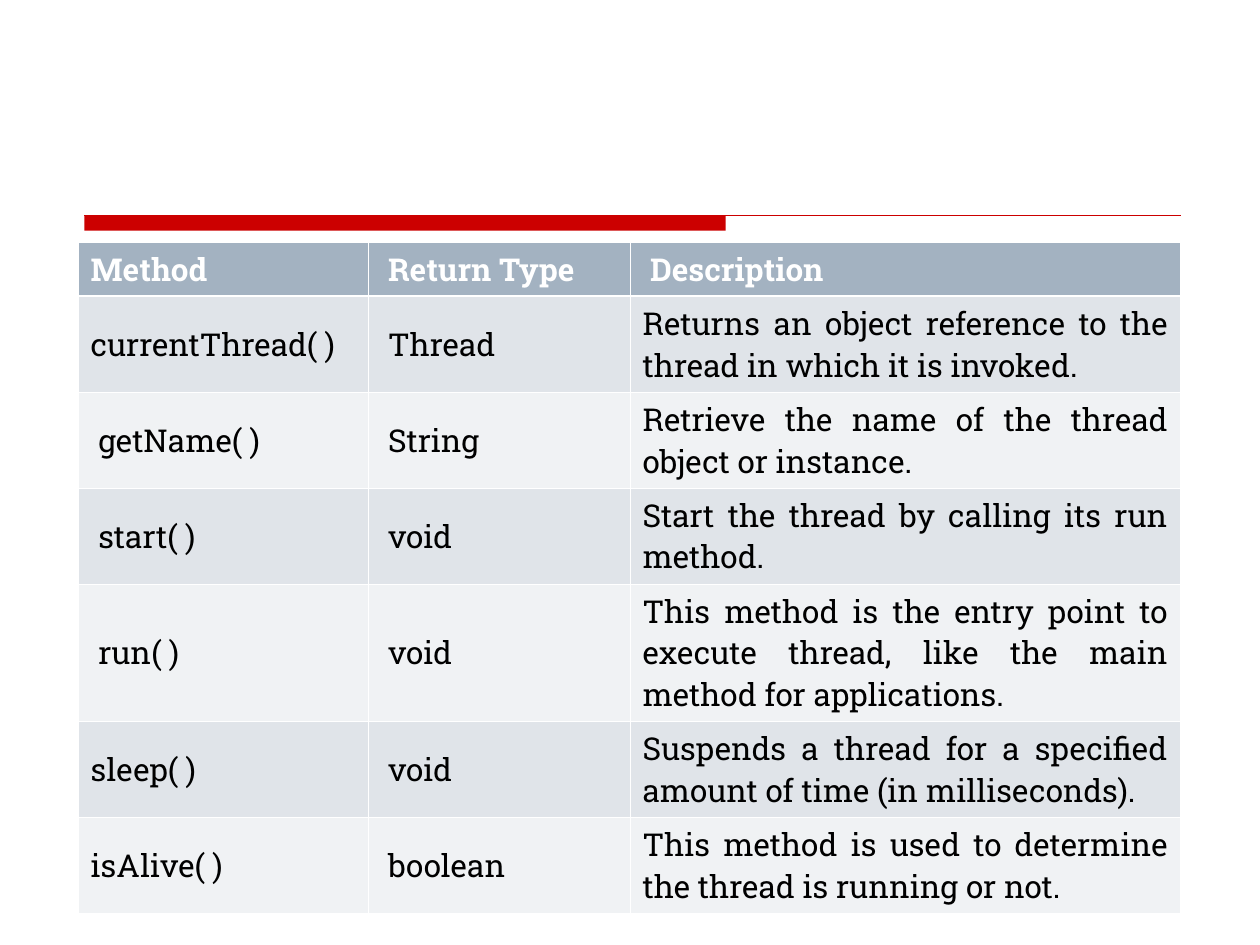
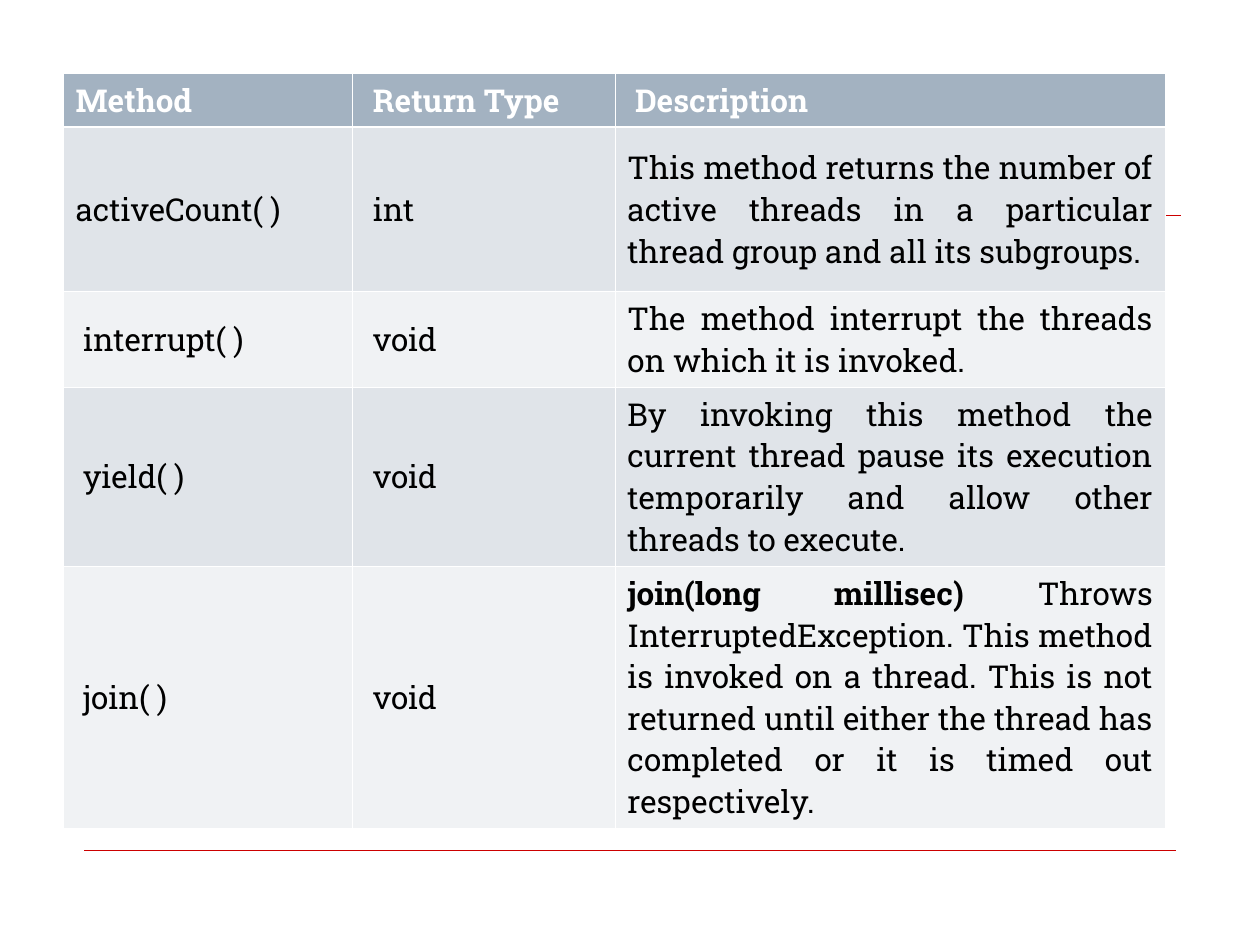
from lxml import etree
from pptx import Presentation
from pptx.dml.color import RGBColor
from pptx.enum.shapes import MSO_CONNECTOR, MSO_SHAPE
from pptx.enum.text import MSO_ANCHOR, PP_ALIGN
from pptx.oxml.ns import qn
from pptx.util import Inches, Pt

RECTANGLE = MSO_SHAPE.RECTANGLE
STRAIGHT = MSO_CONNECTOR.STRAIGHT
MIDDLE = MSO_ANCHOR.MIDDLE
JUSTIFY = PP_ALIGN.JUSTIFY

COLORS = {
    "accent": "CC0000",
    "header": "A3B2C1",
    "odd_row": "E0E4E9",
    "even_row": "F0F2F4",
    "border": "FFFFFF",
    "header_text": "FFFFFF",
    "body_text": "000000",
}
FONT = "Roboto Slab"
TEXT_SIZE = 18
THIN, THICK = 0.45, 1.47
MARGIN, INDENTED_MARGIN = 0.1, 0.16

COLUMN_WIDTHS = (2.3, 2.08, 4.37)
HEADINGS = (0.4, "Method", "Return Type", "Description")
INDENTED = {
    "Description", "getName( )", "start( )", "run( )",
    "interrupt( )", "yield( )", "join( )",
}
JOIN_SIGNATURE = "join(long millisec)"

BASIC_METHODS = [
    (0.7, "currentThread( )", "Thread",
     "Returns an object reference to the thread in which it is invoked."),
    (0.7, "getName( )", "String",
     "Retrieve the name of the thread object or instance."),
    (0.7, "start( )", "void",
     "Start the thread by calling its run method."),
    (1, "run( )", "void",
     "This method is the entry point to execute thread, "
     "like the main method for applications."),
    (0.7, "sleep( )", "void",
     "Suspends a thread for a specified amount of time (in milliseconds)."),
    (0.7, "isAlive( )", "boolean",
     "This method is used to determine the thread is running or not."),
]
CONTROL_METHODS = [
    (1.3, "activeCount( )", "int",
     "This method returns the number of active threads "
     "in a particular thread group and all its subgroups."),
    (0.7, "interrupt( )", "void",
     "The method interrupt the threads on which it is invoked."),
    (1.3, "yield( )", "void",
     "By invoking this method the current thread pause its execution "
     "temporarily and allow other threads to execute."),
    (1.9, "join( )", "void",
     JOIN_SIGNATURE + " Throws InterruptedException. This method is invoked "
     "on a thread. This is not returned until either the thread has "
     "completed or it is timed out respectively."),
]


def color(name):
    return RGBColor.from_string(COLORS[name])


def add_rule(slide, left, top, width, weight):
    rule = slide.shapes.add_connector(
        STRAIGHT, Inches(left), Inches(top), Inches(left + width), Inches(top))
    rule.line.color.rgb = color("accent")
    rule.line.width = Pt(weight)
    etree.SubElement(rule._element.spPr, qn("a:effectLst"))


def add_bands(slide, left=0.67, top=1.71):
    bar = slide.shapes.add_shape(
        RECTANGLE, Inches(left), Inches(top), Inches(5.09), Inches(0.12))
    bar.shadow.inherit = False
    bar.fill.solid()
    bar.fill.fore_color.rgb = color("accent")
    bar.line.fill.background()
    add_rule(slide, left, top, 8.7, 0.75)
    add_rule(slide, left, top + 5.04, 8.66, 0.25)


def set_borders(cell, top, bottom):
    properties = cell._tc.get_or_add_tcPr()
    weights = {"a:lnL": THIN, "a:lnR": THIN, "a:lnT": top, "a:lnB": bottom}
    for position, (edge, weight) in enumerate(weights.items()):
        line = etree.Element(qn(edge), w=str(Pt(weight)))
        fill = etree.SubElement(line, qn("a:solidFill"))
        etree.SubElement(fill, qn("a:srgbClr"), val=COLORS["border"])
        properties.insert(position, line)


def write_cell(cell, text, indented, is_header):
    cell.vertical_anchor = MIDDLE
    cell.margin_left = Inches(INDENTED_MARGIN if indented else MARGIN)
    paragraph = cell.text_frame.paragraphs[0]
    paragraph.alignment = JUSTIFY
    paragraph.font.name = FONT
    paragraph.font.size = Pt(TEXT_SIZE)
    paragraph.font.color.rgb = color("header_text" if is_header else "body_text")
    paragraph.font.bold = is_header
    if text.startswith(JOIN_SIGNATURE):
        signature = paragraph.add_run()
        signature.text = JOIN_SIGNATURE
        signature.font.bold = True
        text = text.removeprefix(JOIN_SIGNATURE)
    paragraph.add_run().text = text


def add_method_table(slide, left, top, methods):
    rows = [HEADINGS, *methods]
    heights = [row[0] for row in rows]
    table = slide.shapes.add_table(
        len(rows), len(COLUMN_WIDTHS), Inches(left), Inches(top),
        Inches(sum(COLUMN_WIDTHS)), Inches(sum(heights))).table
    for column, width in zip(table.columns, COLUMN_WIDTHS):
        column.width = Inches(width)
    for row_index, (height, *texts) in enumerate(rows):
        table.rows[row_index].height = Inches(height)
        is_header = row_index == 0
        band = "header" if is_header else "odd_row" if row_index % 2 else "even_row"
        for column_index, text in enumerate(texts):
            cell = table.cell(row_index, column_index)
            cell.fill.solid()
            cell.fill.fore_color.rgb = color(band)
            set_borders(cell, THICK if row_index == 1 else THIN,
                        THICK if is_header else THIN)
            indented = column_index == 1 or text in INDENTED
            write_cell(cell, text, indented, is_header)


def add_method_slide(deck, left, top, methods):
    slide = deck.slides.add_slide(deck.slide_layouts.get_by_name("Blank"))
    add_bands(slide)
    add_method_table(slide, left, top, methods)


def main():
    deck = Presentation()
    deck.slide_width, deck.slide_height = Inches(10), Inches(7.5)
    add_method_slide(deck, 0.62, 1.92, BASIC_METHODS)
    add_method_slide(deck, 0.5, 0.58, CONTROL_METHODS)
    deck.save("out.pptx")


if __name__ == "__main__":
    main()
